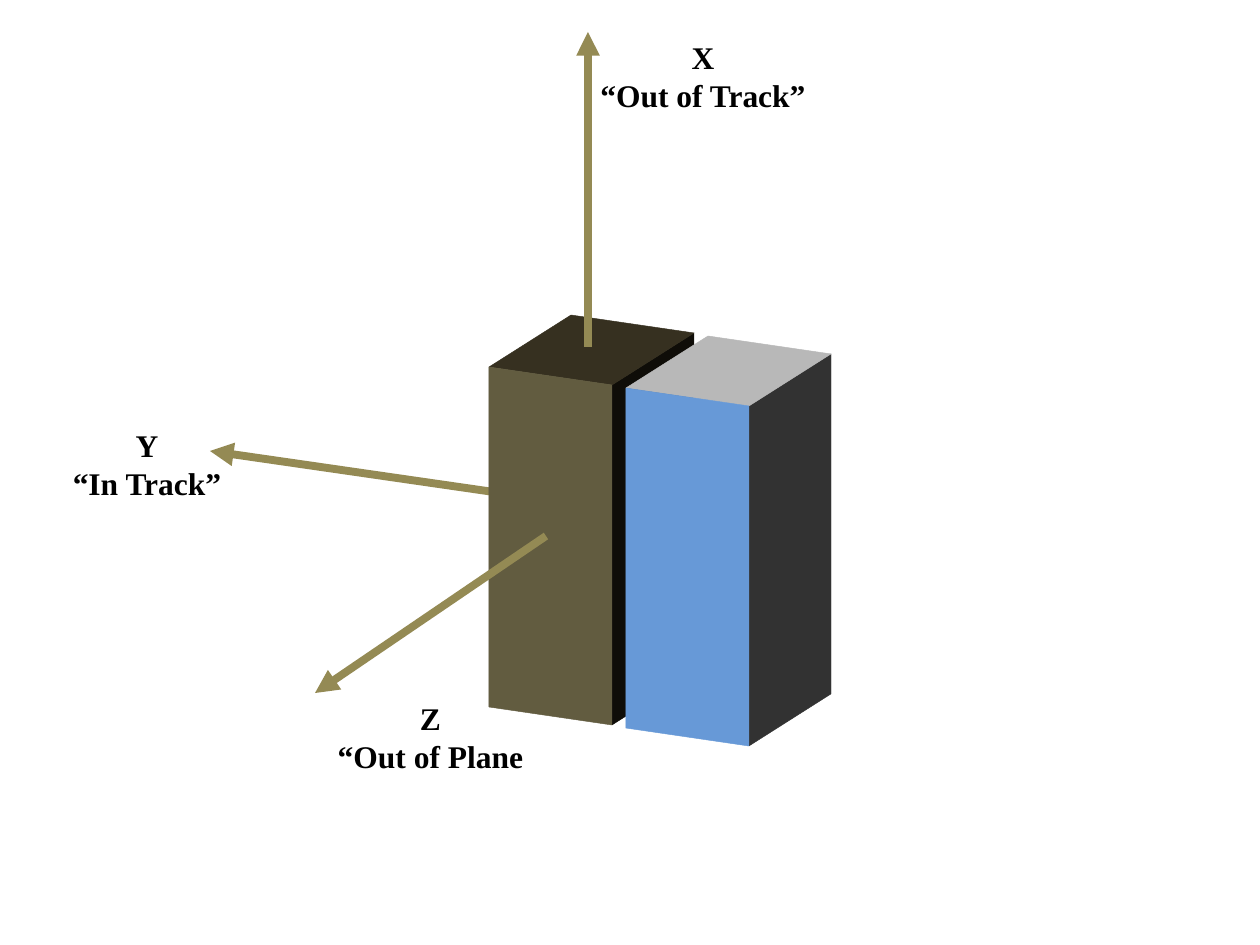
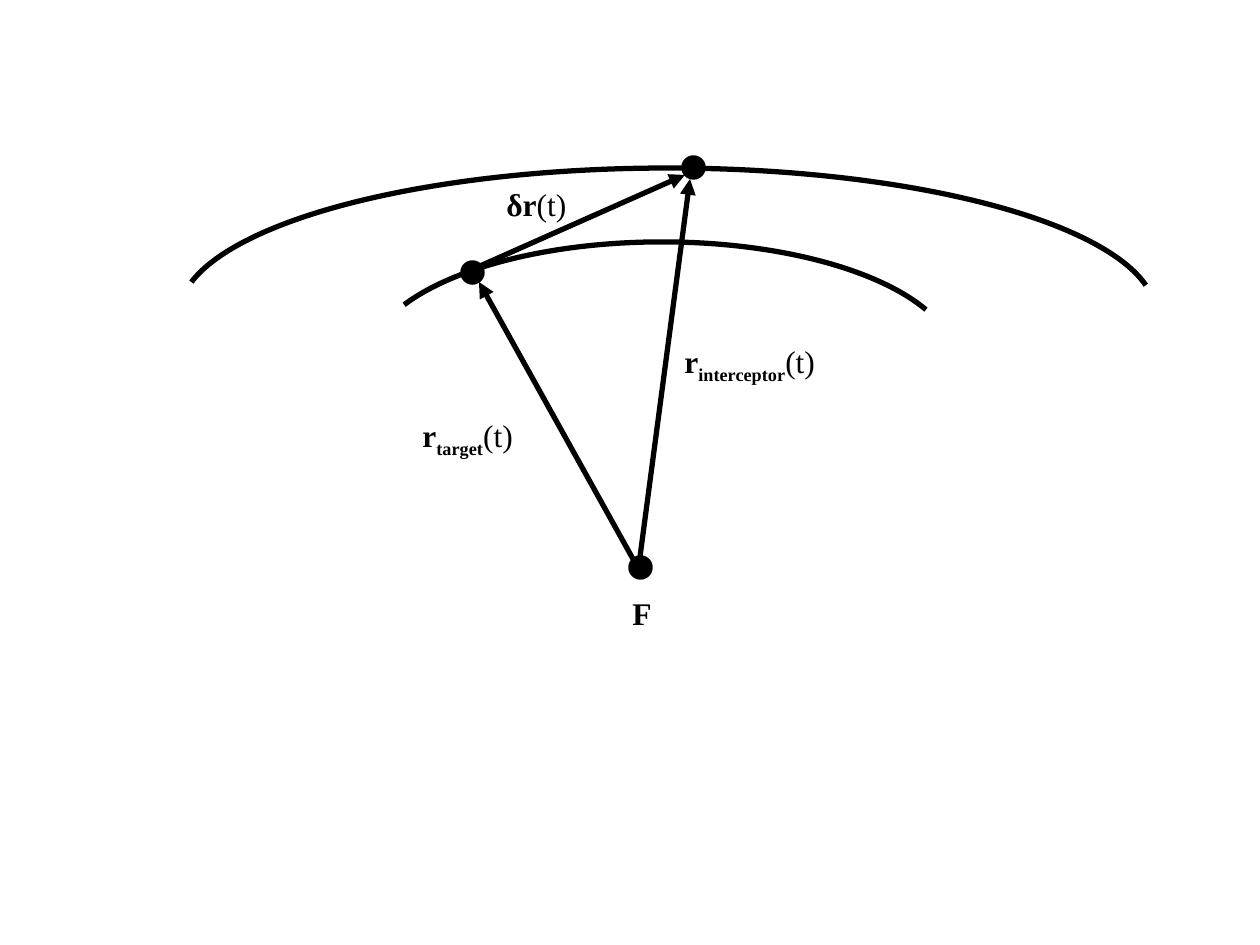
from dataclasses import dataclass

from lxml.etree import SubElement
from pptx import Presentation
from pptx.dml.color import RGBColor
from pptx.enum.shapes import MSO_CONNECTOR, MSO_SHAPE
from pptx.enum.text import MSO_AUTO_SIZE, PP_ALIGN
from pptx.oxml.ns import qn
from pptx.util import Inches, Pt

SCALE = Inches(1) / 126


@dataclass(frozen=True)
class Theme:
    font: str = "Times New Roman"
    text_size: int = 18
    ink: str = "000000"
    axis: str = "948A54"
    axis_width: float = 4.5
    vector_width: float = 3
    dot_width: float = 2
    edge_width: float = 0.25
    target_faces: tuple = ("0F0D08", "363020", "625C40")
    interceptor_faces: tuple = ("323232", "B8B8B8", "6799D7")


THEME = Theme()


def emu(*pixels):
    return [round(value * SCALE) for value in pixels]


def color(code):
    return RGBColor.from_string(code)


def paint(shape, fill=None, line=THEME.ink, width=THEME.vector_width):
    shape.shadow.inherit = False
    if fill:
        shape.fill.solid()
        shape.fill.fore_color.rgb = color(fill)
    else:
        shape.fill.background()
    shape.line.color.rgb = color(line)
    shape.line.width = Pt(width)


def add_text(page, area, paragraphs, align=PP_ALIGN.LEFT):
    box = page.shapes.add_textbox(*emu(*area))
    frame = box.text_frame
    frame.word_wrap = True
    frame.auto_size = MSO_AUTO_SIZE.SHAPE_TO_FIT_TEXT
    for index, spans in enumerate(paragraphs):
        para = frame.paragraphs[0] if index == 0 else frame.add_paragraph()
        para.alignment = align
        for text, bold, baseline in spans:
            span = para.add_run()
            span.text = text
            span.font.name = THEME.font
            span.font.size = Pt(THEME.text_size)
            span.font.bold = bold
            span.font.color.rgb = color(THEME.ink)
            if baseline:
                span.font._element.set("baseline", str(baseline * 1000))


def add_arrow(page, start, end, line=THEME.ink, width=THEME.vector_width):
    arrow = page.shapes.add_connector(MSO_CONNECTOR.STRAIGHT, *emu(*start, *end))
    arrow.line.color.rgb = color(line)
    arrow.line.width = Pt(width)
    SubElement(arrow.line._get_or_add_ln(), qn("a:tailEnd"), type="triangle")
    SubElement(arrow._element.spPr, qn("a:effectLst"))


def add_axis(page, start, end):
    add_arrow(page, start, end, line=THEME.axis, width=THEME.axis_width)


def add_axis_label(page, area, letter, meaning):
    add_text(page, area, [[(letter, True, 0)], [(meaning, True, 0)]],
             align=PP_ALIGN.CENTER)


def add_face(page, corners, fill):
    builder = page.shapes.build_freeform(*corners[0], scale=SCALE)
    builder.add_line_segments(corners[1:], close=True)
    paint(builder.convert_to_shape(), fill=fill, line=fill, width=THEME.edge_width)


def add_block(page, left, top, faces):
    def corner(across, down, back):
        return (left + 123 * across + 82 * back,
                top + 18 * across + 340 * down - 52 * back)

    side, lid, front = faces
    add_face(page, [corner(1, 0, 0), corner(1, 0, 1),
                    corner(1, 1, 1), corner(1, 1, 0)], side)
    add_face(page, [corner(0, 0, 0), corner(0, 0, 1),
                    corner(1, 0, 1), corner(1, 0, 0)], lid)
    add_face(page, [corner(0, 0, 0), corner(1, 0, 0),
                    corner(1, 1, 0), corner(0, 1, 0)], front)


def add_orbit(page, area, start_angle, end_angle):
    orbit = page.shapes.add_shape(MSO_SHAPE.ARC, *emu(*area))
    for index, angle in enumerate((start_angle, end_angle)):
        orbit.adjustments[index] = angle * 0.6
    paint(orbit)


def add_dot(page, left, top):
    dot = page.shapes.add_shape(MSO_SHAPE.OVAL, *emu(left, top, 21, 21))
    paint(dot, fill=THEME.ink, width=THEME.dot_width)


def add_vector_label(page, area, name, subscript="", argument=""):
    spans = [(name, True, 0), (subscript, True, -25), (argument, False, 0)]
    add_text(page, area, [[span for span in spans if span[0]]])


def draw_axes(page):
    add_axis(page, (577, 504), (210, 451))
    add_block(page, 489, 367, THEME.target_faces)
    add_block(page, 626, 388, THEME.interceptor_faces)
    add_axis(page, (588, 347), (588, 32))
    add_axis(page, (546, 536), (315, 693))
    add_axis_label(page, (273, 693, 315, 89), "Z", "“Out of Plane")
    add_axis_label(page, (42, 420, 210, 89), "Y", "“In Track”")
    add_axis_label(page, (388, 32, 630, 89), "X", "“Out of Track”")


def draw_orbits(page):
    add_orbit(page, (368, 242, 588, 242), 192.71, 348.6)
    add_orbit(page, (179, 168, 977, 294), 183.96, 356.44)
    for left, top in ((462, 262), (683, 157), (630, 557)):
        add_dot(page, left, top)
    add_arrow(page, (640, 557), (690, 179))
    add_arrow(page, (633, 559), (479, 282))
    add_arrow(page, (480, 266), (685, 175))
    add_vector_label(page, (410, 410, 147, 50), "r", "target", "(t)")
    add_vector_label(page, (494, 179, 147, 50), "δr", argument="(t)")
    add_vector_label(page, (672, 336, 179, 50), "r", "interceptor", "(t)")
    add_vector_label(page, (620, 588, 53, 50), "F")


def main():
    deck = Presentation()
    deck.slide_width, deck.slide_height = Inches(10), Inches(7.5)
    for draw in (draw_axes, draw_orbits):
        draw(deck.slides.add_slide(deck.slide_layouts[6]))
    deck.save("out.pptx")


main()
